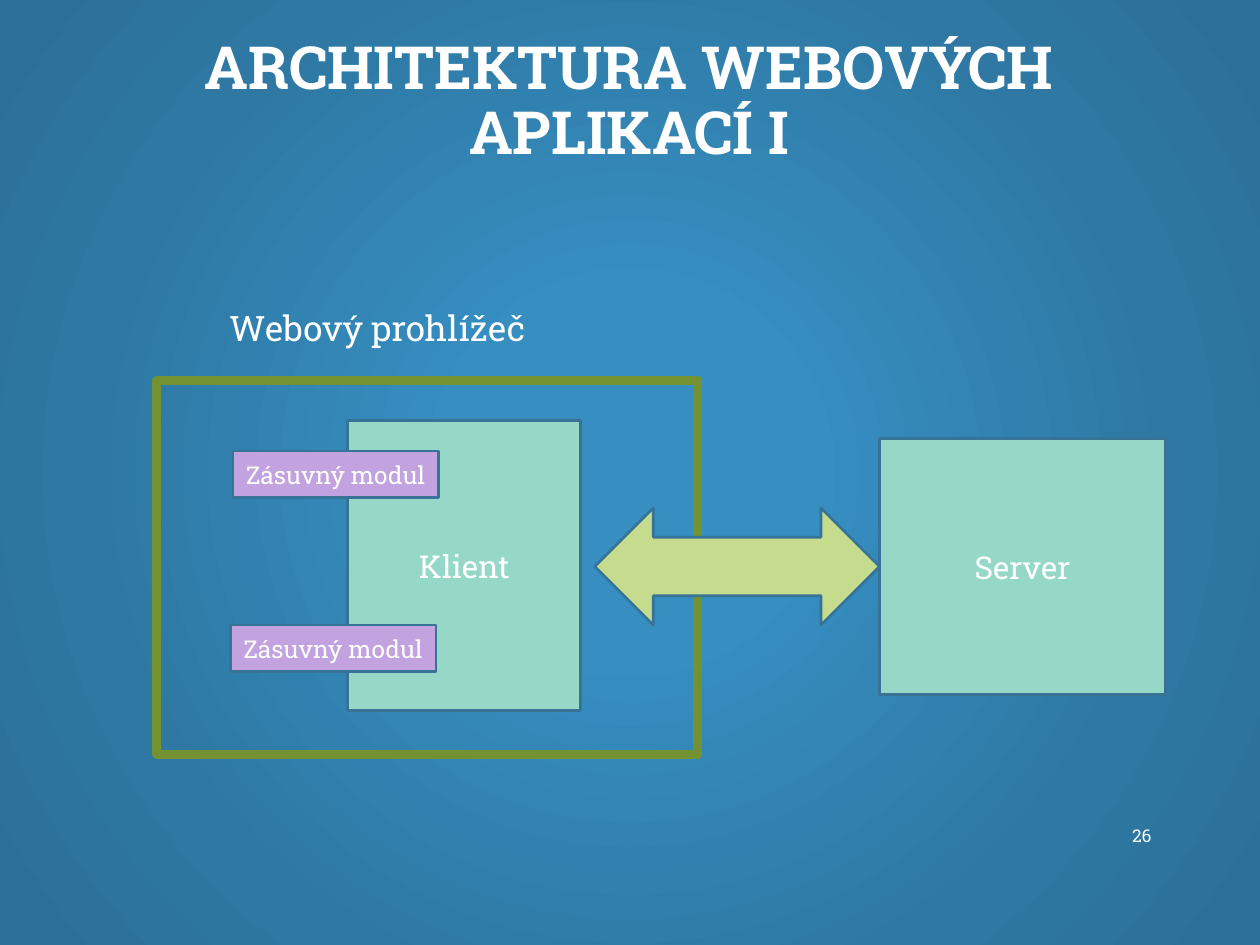
from pptx import Presentation
from pptx.dml.color import RGBColor
from pptx.enum.shapes import MSO_SHAPE as Preset
from pptx.enum.text import MSO_ANCHOR as Anchor, PP_ALIGN as Align
from pptx.oxml import parse_xml
from pptx.oxml.ns import nsdecls
from pptx.util import Cm, Pt

OUTLINE = "377397"
MINT, LIME, VIOLET, OLIVE = "96D8C8", "C5DC8F", "C2A3DF", "759232"
BACKGROUND_STOPS = [(0, "368EC1"), (23, "368EC1"), (69, "2E78A3"), (97, "2B7098")]


def color(hex_value):
    return RGBColor.from_string(hex_value)


def set_values(target, values):
    for name, value in values.items():
        setattr(target, name, value)


class SlideBuilder:
    """Holds the text style and the slide being filled."""

    font = {"name": "Roboto Slab"}
    text_color = "FFFFFF"

    def __init__(self, slide):
        self.slide = slide

    def radial_background(self, stops):
        self.slide.background.fill.solid()
        properties = self.slide.element.xpath(".//p:bgPr")[0]
        stop_xml = "".join(
            f'<a:gs pos="{percent * 1000}"><a:srgbClr val="{hex_value}"/></a:gs>'
            for percent, hex_value in stops)
        gradient = parse_xml(
            f'<a:gradFill {nsdecls("a")} rotWithShape="1"><a:gsLst>{stop_xml}</a:gsLst>'
            '<a:path path="circle">'
            '<a:fillToRect l="50000" t="50000" r="50000" b="50000"/>'
            '</a:path></a:gradFill>')
        properties.replace(properties[0], gradient)

    def fill_frame(self, frame, content, size, align, anchor, bold=False, spacing=1.0):
        """Put one styled paragraph in a text frame and return it."""
        set_values(frame, {"word_wrap": True, "vertical_anchor": anchor})
        paragraph = frame.paragraphs[0]
        set_values(paragraph, {"text": content, "alignment": align, "line_spacing": spacing})
        set_values(paragraph.font, {**self.font, "size": Pt(size), "bold": bold})
        paragraph.font.color.rgb = color(self.text_color)
        return paragraph

    def text(self, box, content, size, align=Align.LEFT, anchor=Anchor.MIDDLE, indent=0, **style):
        frame = self.slide.shapes.add_textbox(*map(Cm, box)).text_frame
        paragraph = self.fill_frame(frame, content, size, align, anchor, **style)
        if indent:
            paragraph._p.get_or_add_pPr().set("marL", str(Cm(indent)))

    def shape(self, box, fill=None, line=OUTLINE, width=1.5, preset=Preset.RECTANGLE,
              label=None, size=18):
        shape = self.slide.shapes.add_shape(preset, *map(Cm, box))
        shape.shadow.inherit = False
        if fill:
            shape.fill.solid()
            shape.fill.fore_color.rgb = color(fill)
        else:
            shape.fill.background()
        shape.line.color.rgb = color(line)
        shape.line.width = Pt(width)
        if label:
            set_values(shape.text_frame, {"margin_left": Cm(0.1), "margin_right": Cm(0.1)})
            self.fill_frame(shape.text_frame, label, size, Align.CENTER, Anchor.MIDDLE)


def main():
    deck = Presentation()
    set_values(deck, {"slide_width": Cm(25.4), "slide_height": Cm(19.05)})
    builder = SlideBuilder(deck.slides.add_slide(deck.slide_layouts[6]))
    builder.radial_background(BACKGROUND_STOPS)

    builder.shape((3.15, 7.67, 10.92, 7.54), line=OLIVE, width=5)
    builder.text((1.9, 0.23, 21.56, 3.68), "ARCHITEKTURA WEBOVÝCH APLIKACÍ I", 34,
                 Align.CENTER, bold=True, spacing=0.9)
    builder.text((1.9, 5.89, 21.56, 12.67), "Webový prohlížeč", 20,
                 anchor=Anchor.TOP, indent=2.47, spacing=1.2)
    builder.text((21.89, 16.33, 1.57, 1.02), "26", 10, Align.RIGHT)

    builder.shape((7.01, 8.48, 4.7, 5.84), MINT, label="Klient")
    builder.shape((17.73, 8.84, 5.77, 5.16), MINT, label="Server")
    builder.shape((11.99, 10.24, 5.74, 2.36), LIME, preset=Preset.LEFT_RIGHT_ARROW)
    for left, top in [(4.7, 9.09), (4.65, 12.6)]:
        builder.shape((left, top, 4.14, 0.94), VIOLET, label="Zásuvný modul", size=14)

    deck.save("out.pptx")


if __name__ == "__main__":
    main()
